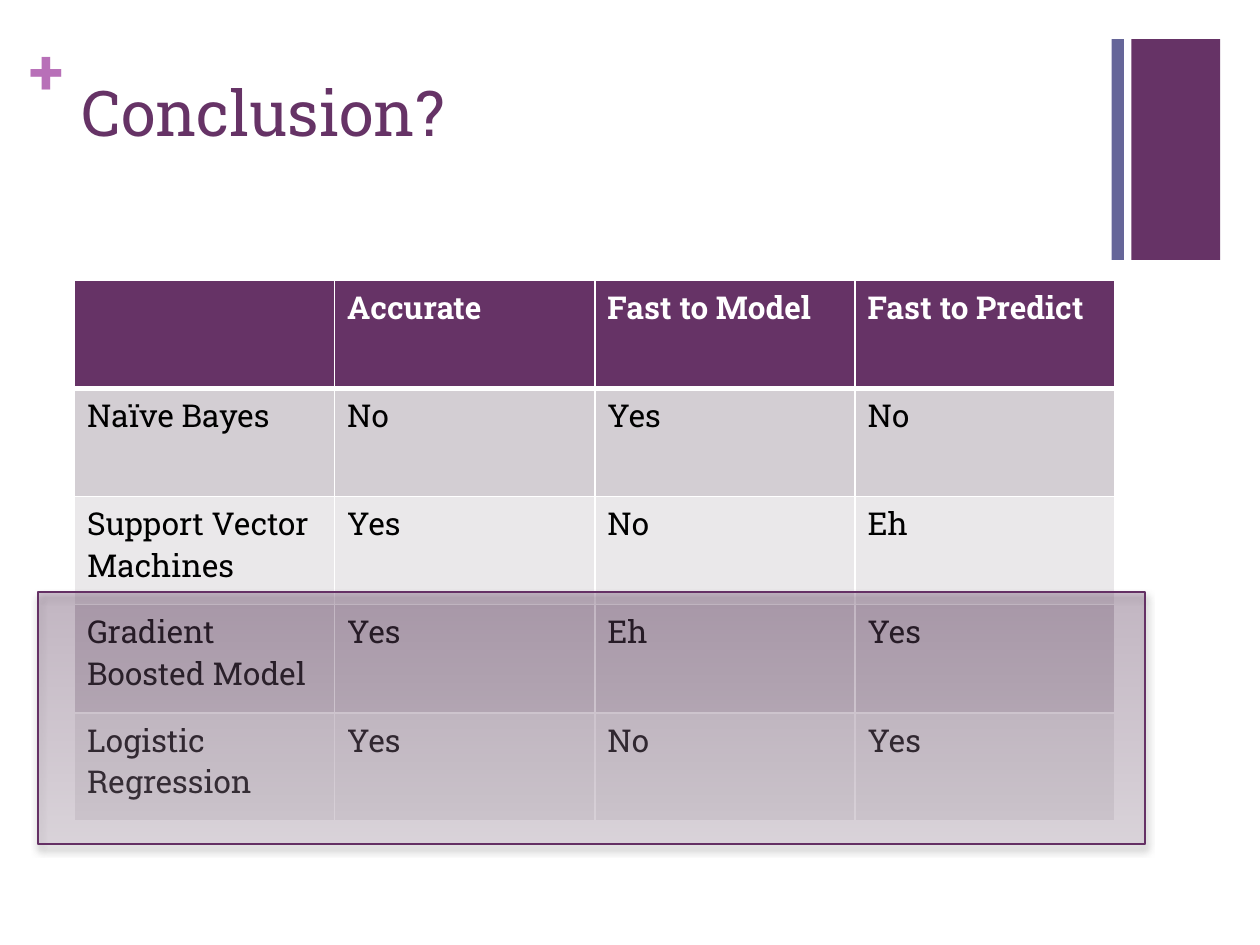
import pptx
import pptx.dml.color
import pptx.enum.shapes
import pptx.enum.text
import pptx.oxml
import pptx.oxml.ns
import pptx.util

Cm = pptx.util.Cm
Pt = pptx.util.Pt
qn = pptx.oxml.ns.qn
NAMESPACE = pptx.oxml.ns.nsdecls("a")

PURPLE = "663366"
WHITE = "FFFFFF"
COMPARISON = [
    ["", "Accurate", "Fast to Model", "Fast to Predict"],
    ["Naïve Bayes", "No", "Yes", "No"],
    ["Support Vector Machines", "Yes", "No", "Eh"],
    ["Gradient Boosted Model", "Yes", "Eh", "Yes"],
    ["Logistic Regression", "Yes", "No", "Yes"],
]


def color(value):
    return pptx.dml.color.RGBColor.from_string(value)


class SlideBuilder:
    """Hold the style and the current slide, and add elements to it."""

    font_name = "Roboto Slab"
    band_fills = ["EAE8EA", "D3CED3"]

    def __init__(self, slide):
        self.slide = slide

    def add_styled_run(self, text_frame, text, size, text_color, bold=False):
        run = text_frame.paragraphs[0].add_run()
        run.text = text
        values = {"name": self.font_name, "size": Pt(size), "bold": bold}
        for name, value in values.items():
            setattr(run.font, name, value)
        run.font.color.rgb = color(text_color)

    def text(self, box, text, size, text_color, bold=False, **frame_values):
        shape = self.slide.shapes.add_textbox(*map(Cm, box))
        values = {"word_wrap": True, "vertical_anchor": pptx.enum.text.MSO_ANCHOR.TOP}
        for name, value in (values | frame_values).items():
            setattr(shape.text_frame, name, value)
        self.add_styled_run(shape.text_frame, text, size, text_color, bold)

    def rectangle(self, box, fill):
        shape = self.slide.shapes.add_shape(
            pptx.enum.shapes.MSO_SHAPE.RECTANGLE, *map(Cm, box))
        shape.shadow.inherit = False
        shape.fill.solid()
        shape.fill.fore_color.rgb = color(fill)
        shape.line.fill.background()
        return shape

    def highlight(self, box, stops, opacity, line):
        shape = self.rectangle(box, stops[0])
        shape.fill.gradient()
        shape.fill.gradient_angle = 270
        for stop, value in zip(shape.fill.gradient_stops, stops):
            stop.color.rgb = color(value)
        properties = shape.element.spPr
        for stop_color in properties.find(qn("a:gradFill")).iter(qn("a:srgbClr")):
            stop_color.append(pptx.oxml.parse_xml(
                f'<a:alpha {NAMESPACE} val="{opacity * 1000}"/>'))
        shape.line.fill.solid()
        shape.line.color.rgb = color(line)
        shape.line.width = Pt(1)
        properties.find(qn("a:effectLst")).append(pptx.oxml.parse_xml(
            f'<a:outerShdw {NAMESPACE} blurRad="{Pt(5)}" dist="{Pt(2)}" dir="5400000" '
            'rotWithShape="0"><a:srgbClr val="808080"><a:alpha val="75000"/>'
            '</a:srgbClr></a:outerShdw>'))

    def borders(self, cell, widths):
        properties = cell._tc.get_or_add_tcPr()
        for side, width in widths.items():
            properties.append(pptx.oxml.parse_xml(
                f'<a:ln{side} {NAMESPACE} w="{Pt(width)}"><a:solidFill>'
                f'<a:srgbClr val="{WHITE}"/></a:solidFill></a:ln{side}>'))

    def table(self, box, rows):
        table = self.slide.shapes.add_table(
            len(rows), len(rows[0]), *map(Cm, box)).table
        for row_index, row in enumerate(rows):
            header = row_index == 0
            fill = PURPLE if header else self.band_fills[row_index % 2]
            for column_index, text in enumerate(row):
                cell = table.cell(row_index, column_index)
                top = 3 if row_index == 1 else 1
                self.borders(cell, {"L": 1, "R": 1, "T": top, "B": 3 if header else 1})
                cell.fill.solid()
                cell.fill.fore_color.rgb = color(fill)
                if text:
                    self.add_styled_run(cell.text_frame, text, 18,
                                        WHITE if header else "000000", header)


def main():
    presentation = pptx.Presentation()
    presentation.slide_width = Cm(25.4)
    presentation.slide_height = Cm(19.05)
    builder = SlideBuilder(presentation.slides.add_slide(presentation.slide_layouts[6]))
    builder.rectangle((22.81, 0.79, 1.79, 4.45), PURPLE)
    no_margins = dict.fromkeys(
        ["margin_left", "margin_top", "margin_right", "margin_bottom"], 0)
    builder.text((0.6, 0.64, 0.75, 1.54), "+", 36, "B870B8", True,
                 **no_margins | {"word_wrap": False})
    builder.rectangle((22.41, 0.79, 0.25, 4.45), "666699")
    builder.text((1.4, 1.35, 20.98, 3.1), "Conclusion?", 36, PURPLE)
    builder.table((1.5, 5.65, 20.98, 10.9), COMPARISON)
    builder.highlight((0.76, 11.94, 22.33, 5.08), ["4D1A4D", "AF94AF"], 24, "653165")
    presentation.save("out.pptx")


if __name__ == "__main__":
    main()
